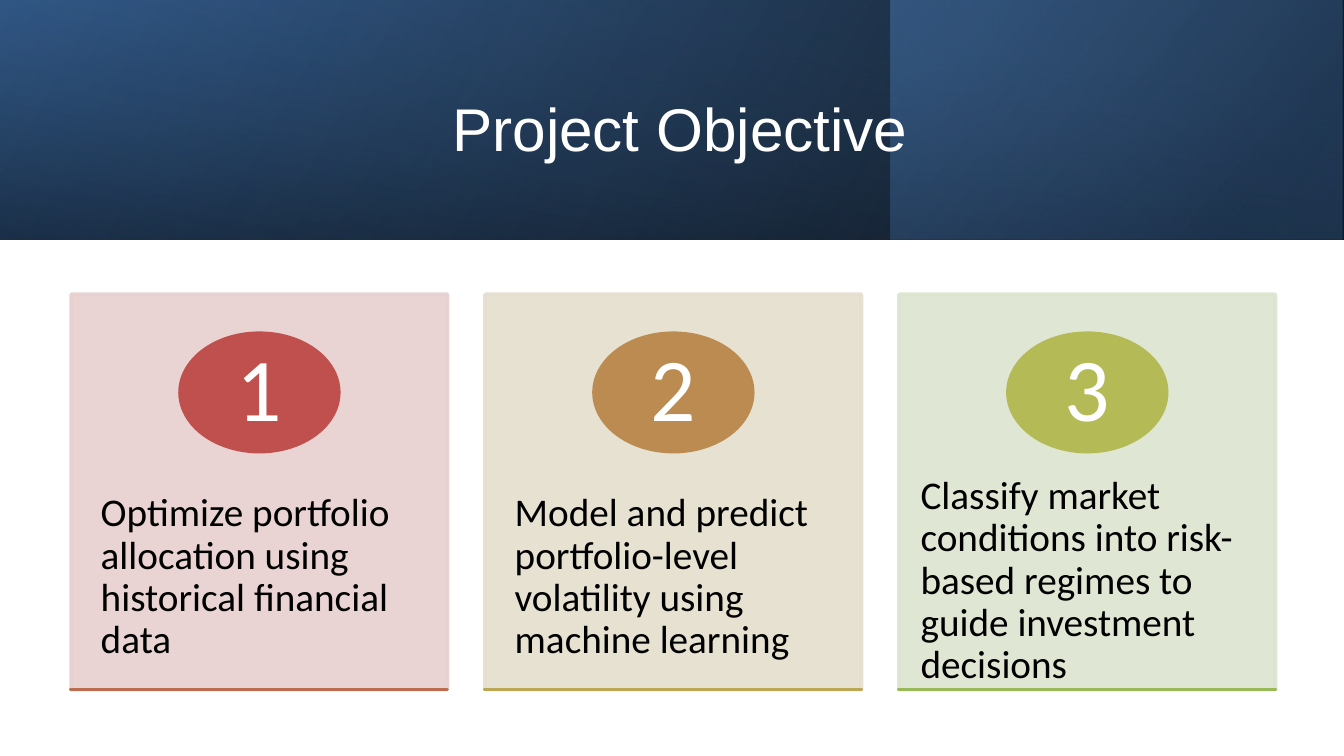
from lxml import etree
from pptx import Presentation
from pptx.dml.color import RGBColor
from pptx.enum.shapes import MSO_SHAPE
from pptx.enum.text import MSO_ANCHOR, PP_ALIGN
from pptx.oxml.ns import qn
from pptx.util import Inches, Pt

RECTANGLE = MSO_SHAPE.RECTANGLE
OVAL = MSO_SHAPE.OVAL
TOP = MSO_ANCHOR.TOP
MIDDLE = MSO_ANCHOR.MIDDLE
LEFT = PP_ALIGN.LEFT
CENTER = PP_ALIGN.CENTER

SLIDE_WIDTH = 10
SLIDE_HEIGHT = SLIDE_WIDTH * 9 / 16
BANNER_HEIGHT = 1.78
CARD_LEFT, CARD_TOP = 0.53, 2.19
CARD_WIDTH, CARD_HEIGHT = 2.8, 2.94
CARD_GAP = 0.28
BADGE_WIDTH, BADGE_HEIGHT = 1.18, 0.88
NUMBER_WIDTH, NUMBER_HEIGHT = 0.83, 0.62
BADGE_MIDDLE = CARD_TOP + 0.73
BODY_BOTTOM = CARD_TOP + 2.88

COLORS = {
    "white": "FFFFFF",
    "black": "000000",
    "blue": "4F81BD",
    "deep blue": "366092",
    "navy": "244061",
}

CARDS = [
    {"text": "Optimize portfolio allocation using historical financial data",
     "panel": "E7CFCF", "badge": "BF504D", "rule": "BD6D4F",
     "body_width": 2.8, "body_height": 1.76, "body_shift": 0},
    {"text": "Model and predict portfolio-level volatility using machine learning",
     "panel": "E5DECE", "badge": "BC8B51", "rule": "BBA754",
     "body_width": 2.8, "body_height": 1.76, "body_shift": 0},
    {"text": "Classify market conditions into risk-based regimes to guide investment decisions",
     "panel": "DCE4CF", "badge": "B4BA55", "rule": "99B958",
     "body_width": 2.93, "body_height": 1.89, "body_shift": -0.06},
]


def set_opacity(color_element, percent):
    alpha = etree.SubElement(color_element, qn("a:alpha"))
    alpha.set("val", str(percent * 1000))


def add_solid_shape(slide, kind, box, color, opacity=100):
    shape = slide.shapes.add_shape(kind, *map(Inches, box))
    shape.shadow.inherit = False
    shape.line.width = Pt(2)
    for fill in (shape.fill, shape.line.fill):
        fill.solid()
        fill.fore_color.rgb = RGBColor.from_string(color)
    if opacity < 100:
        for color_element in shape.element.spPr.iter(qn("a:srgbClr")):
            set_opacity(color_element, opacity)


def add_gradient_panel(slide, box, stops, angle, rotation=0):
    shape = slide.shapes.add_shape(RECTANGLE, *map(Inches, box))
    shape.shadow.inherit = False
    shape.line.fill.background()
    shape.rotation = rotation
    properties = shape.element.spPr
    properties.find(qn("a:xfrm")).set("flipH", "1")
    shape.fill.gradient()
    gradient = properties.find(qn("a:gradFill"))
    for child in list(gradient):
        gradient.remove(child)
    stop_list = etree.SubElement(gradient, qn("a:gsLst"))
    for position, color, opacity in stops:
        stop = etree.SubElement(stop_list, qn("a:gs"), pos=str(position * 1000))
        color_element = etree.SubElement(stop, qn("a:srgbClr"), val=COLORS[color])
        set_opacity(color_element, opacity)
    etree.SubElement(gradient, qn("a:lin"), ang=str(angle * 60000), scaled="0")


def add_text(slide, box, text, size, color, font="Calibri", anchor=MIDDLE,
             alignment=CENTER, insets=(0.09, 0.01), line_spacing=0.9):
    frame = slide.shapes.add_textbox(*map(Inches, box)).text_frame
    frame.word_wrap = True
    frame.vertical_anchor = anchor
    frame.margin_left = frame.margin_right = Inches(insets[0])
    frame.margin_top = frame.margin_bottom = Inches(insets[1])
    paragraph = frame.paragraphs[0]
    paragraph.alignment = alignment
    paragraph.line_spacing = line_spacing
    paragraph.font.size = Pt(size)
    paragraph.font.name = font
    paragraph.font.color.rgb = RGBColor.from_string(COLORS[color])
    paragraph.add_run().text = text
    return paragraph


def add_banner(slide):
    add_gradient_panel(slide, (0, 0, SLIDE_WIDTH, BANNER_HEIGHT),
                       [(0, "black", 96), (100, "deep blue", 100)], 330)
    add_gradient_panel(slide, (6.63, 0, 3.36, BANNER_HEIGHT),
                       [(0, "navy", 68), (19, "navy", 68), (100, "blue", 48)], 320)
    offset = (SLIDE_WIDTH - BANNER_HEIGHT) / 2
    add_gradient_panel(slide, (offset, -offset, BANNER_HEIGHT, SLIDE_WIDTH),
                       [(0, "deep blue", 16), (23, "deep blue", 16),
                        (99, "black", 45), (100, "black", 45)], 350, 270)
    title = add_text(slide, (1.13, 0.29, 7.97, 1.29), "Project Objective", 32.3,
                     "white", "Arial", insets=(0.1, 0.05), line_spacing=1.0)
    ending = title.add_run()
    ending.text = " "
    ending.font.size = Pt(35)
    ending.font.name = "Calibri"


def add_card(slide, column, card):
    left = CARD_LEFT + column * (CARD_WIDTH + CARD_GAP)
    center = left + CARD_WIDTH / 2
    add_solid_shape(slide, RECTANGLE, (left, CARD_TOP, CARD_WIDTH, CARD_HEIGHT),
                    card["panel"], 90)
    add_text(slide, (left + card["body_shift"], BODY_BOTTOM - card["body_height"],
                     card["body_width"], card["body_height"]),
             card["text"], 21, "black", anchor=TOP, alignment=LEFT, insets=(0.22, 0.36))
    add_solid_shape(slide, OVAL, (center - BADGE_WIDTH / 2, BADGE_MIDDLE - BADGE_HEIGHT / 2,
                                  BADGE_WIDTH, BADGE_HEIGHT), card["badge"])
    add_text(slide, (center - NUMBER_WIDTH / 2, BADGE_MIDDLE - NUMBER_HEIGHT / 2,
                     NUMBER_WIDTH, NUMBER_HEIGHT), str(column + 1), 48, "white")
    add_solid_shape(slide, RECTANGLE, (left, CARD_TOP + CARD_HEIGHT, CARD_WIDTH, 0),
                    card["rule"])


def main():
    presentation = Presentation()
    presentation.slide_width = Inches(SLIDE_WIDTH)
    presentation.slide_height = Inches(SLIDE_HEIGHT)
    slide = presentation.slides.add_slide(presentation.slide_layouts[6])
    add_banner(slide)
    for column, card in enumerate(CARDS):
        add_card(slide, column, card)
    presentation.save("out.pptx")


if __name__ == "__main__":
    main()
